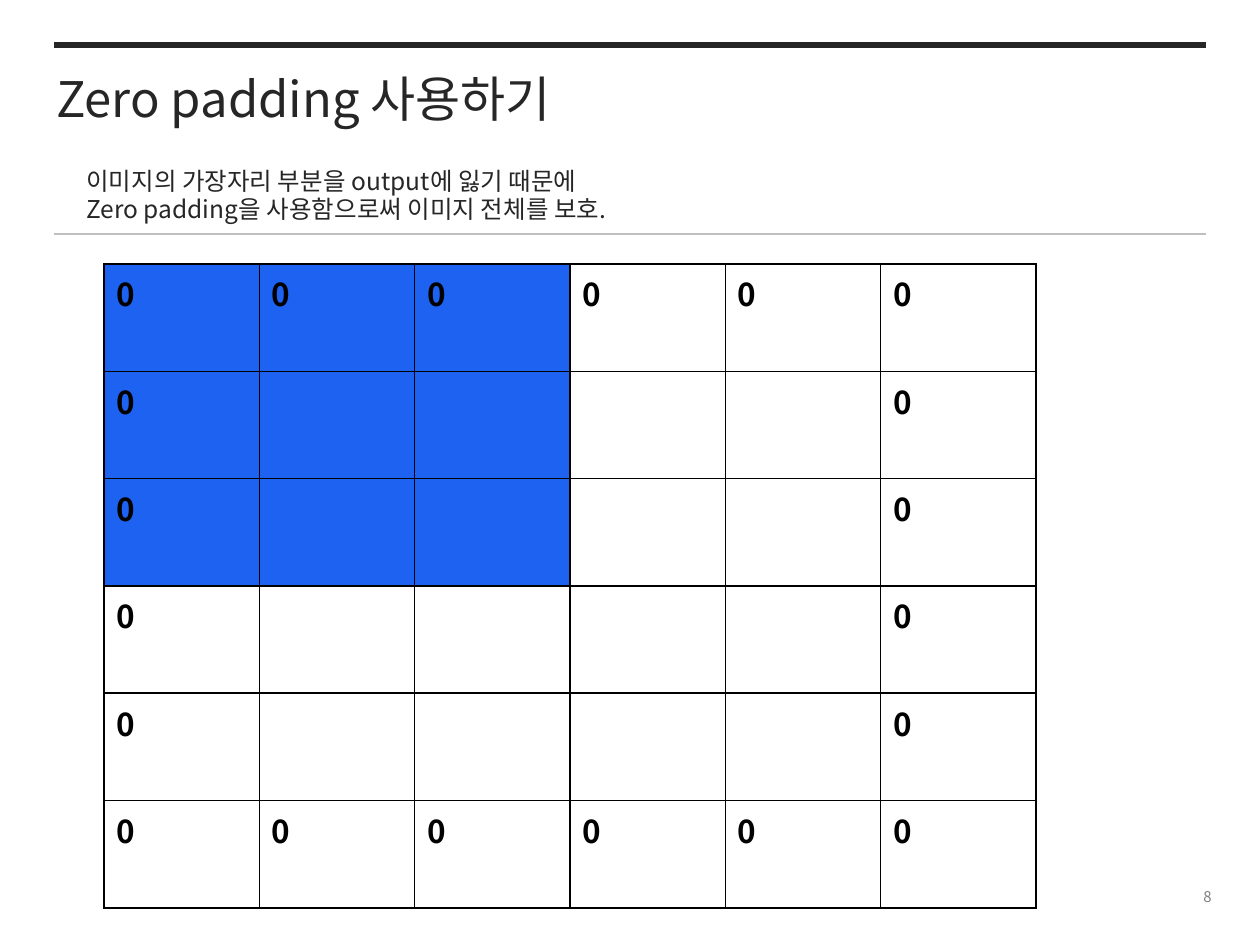
"""Build a slide that explains zero padding with a six by six grid."""
from dataclasses import dataclass

from lxml import etree
from pptx import Presentation
from pptx.dml.color import RGBColor
from pptx.enum.shapes import MSO_CONNECTOR
from pptx.enum.text import MSO_ANCHOR, PP_ALIGN
from pptx.oxml.ns import qn
from pptx.util import Emu, Pt

STRAIGHT = MSO_CONNECTOR.STRAIGHT
TOP, MIDDLE = MSO_ANCHOR.TOP, MSO_ANCHOR.MIDDLE
LEFT, RIGHT = PP_ALIGN.LEFT, PP_ALIGN.RIGHT

EMU_PER_PX = 914400 / 126
FONT = "Noto Sans CJK KR"
COLORS = {
    "ink": "262626",
    "rule": "BFBFBF",
    "number": "808080",
    "grid": "000000",
    "filter": "1D62F0",
    "cell": "FFFFFF",
}
GRID_SIZE = 6
FILTER_SIZE = 3
BORDER_TAGS = ("a:lnL", "a:lnR", "a:lnT", "a:lnB")


@dataclass(frozen=True)
class Caption:
    lines: tuple[str, ...]
    left: int
    top: int
    width: int
    height: int
    size: float
    color: str = "ink"
    align: PP_ALIGN = LEFT
    anchor: MSO_ANCHOR = TOP
    inset: int = 6
    spacing: float | None = None


@dataclass(frozen=True)
class Rule:
    top: int
    color: str
    weight: float
    left: int = 54
    right: int = 1206


RULES = (Rule(234, "rule", 0.75), Rule(45, "ink", 3))
CAPTIONS = (
    Caption(("8",), 958, 880, 266, 34, 8.5, "number", RIGHT, MIDDLE),
    Caption(("Zero padding 사용하기",), 44, 68, 953, 72, 28, inset=0),
    Caption(
        ("이미지의 가장자리 부분을 output에 잃기 때문에",
         "Zero padding을 사용함으로써 이미지 전체를 보호."),
        74, 161, 953, 69, 14, spacing=16,
    ),
)


def px(length: int) -> Emu:
    """Turn pixels into EMU."""
    return Emu(round(length * EMU_PER_PX))


def rgb(name: str) -> RGBColor:
    """Look up a named colour."""
    return RGBColor.from_string(COLORS[name])


def style_paragraph(paragraph, size: float, color: str, bold: bool = False) -> None:
    """Set the font of a paragraph for Latin and Korean text."""
    font = paragraph.font
    font.size, font.bold, font.name = Pt(size), bold, FONT
    font.color.rgb = rgb(color)
    defaults = paragraph._p.pPr.find(qn("a:defRPr"))
    etree.SubElement(defaults, qn("a:ea"), typeface=FONT)


def draw_caption(slide, caption: Caption) -> None:
    """Draw a text box with one paragraph per line."""
    box = slide.shapes.add_textbox(
        px(caption.left), px(caption.top), px(caption.width), px(caption.height))
    frame = box.text_frame
    frame.word_wrap = True
    frame.vertical_anchor = caption.anchor
    frame.margin_top = frame.margin_bottom = px(caption.inset)
    frame.text = "\n".join(caption.lines)
    for paragraph in frame.paragraphs:
        paragraph.alignment = caption.align
        if caption.spacing:
            paragraph.line_spacing = Pt(caption.spacing)
        style_paragraph(paragraph, caption.size, caption.color)


def draw_rule(slide, rule: Rule) -> None:
    """Draw a horizontal line across the slide."""
    line = slide.shapes.add_connector(
        STRAIGHT, px(rule.left), px(rule.top), px(rule.right), px(rule.top))
    line.line.color.rgb = rgb(rule.color)
    line.line.width = Pt(rule.weight)
    etree.SubElement(line._element.spPr, qn("a:effectLst"))


def border_cell(cell) -> None:
    """Put a thin line on every side of a cell."""
    properties = cell._tc.get_or_add_tcPr()
    for position, tag in enumerate(BORDER_TAGS):
        side = etree.Element(qn(tag), w=str(Pt(1)))
        fill = etree.SubElement(side, qn("a:solidFill"))
        etree.SubElement(fill, qn("a:srgbClr"), val=COLORS["grid"])
        properties.insert(position, side)


def draw_padded_grid(slide, left: int, top: int, width: int, height: int) -> None:
    """Draw the grid with zeros on its edge and the filter at its corner."""
    grid = slide.shapes.add_table(
        GRID_SIZE, GRID_SIZE, px(left), px(top), px(width), px(height)).table
    grid.first_row = grid.horz_banding = False
    edges = (0, GRID_SIZE - 1)
    for row in range(GRID_SIZE):
        for column in range(GRID_SIZE):
            cell = grid.cell(row, column)
            in_filter = max(row, column) < FILTER_SIZE
            cell.fill.solid()
            cell.fill.fore_color.rgb = rgb("filter" if in_filter else "cell")
            border_cell(cell)
            if row in edges or column in edges:
                cell.text = "0"
                style_paragraph(cell.text_frame.paragraphs[0], 18, "grid", bold=True)


def main() -> None:
    """Build and save the slide."""
    deck = Presentation()
    deck.slide_width, deck.slide_height = px(1260), px(945)
    slide = deck.slides.add_slide(deck.slide_layouts[6])
    for rule in RULES:
        draw_rule(slide, rule)
    draw_padded_grid(slide, 104, 264, 932, 644)
    for caption in CAPTIONS:
        draw_caption(slide, caption)
    deck.save("out.pptx")


if __name__ == "__main__":
    main()
